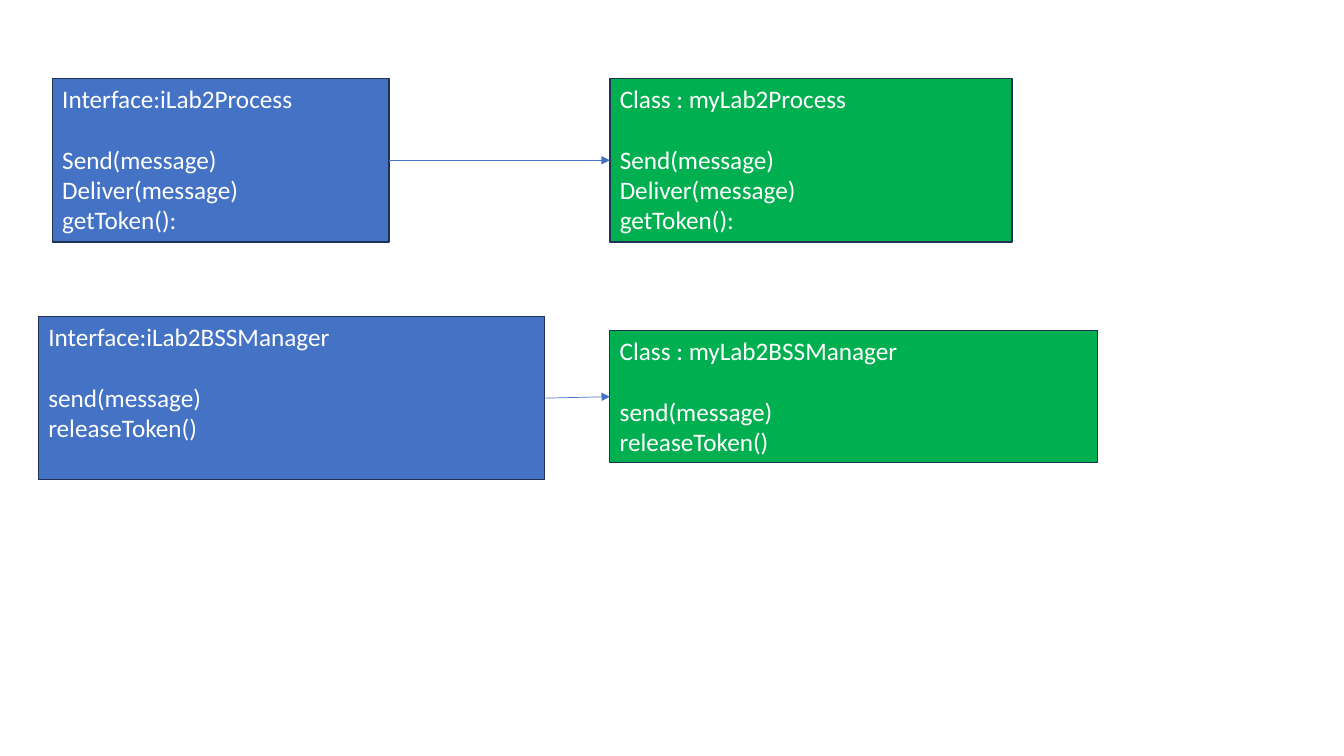
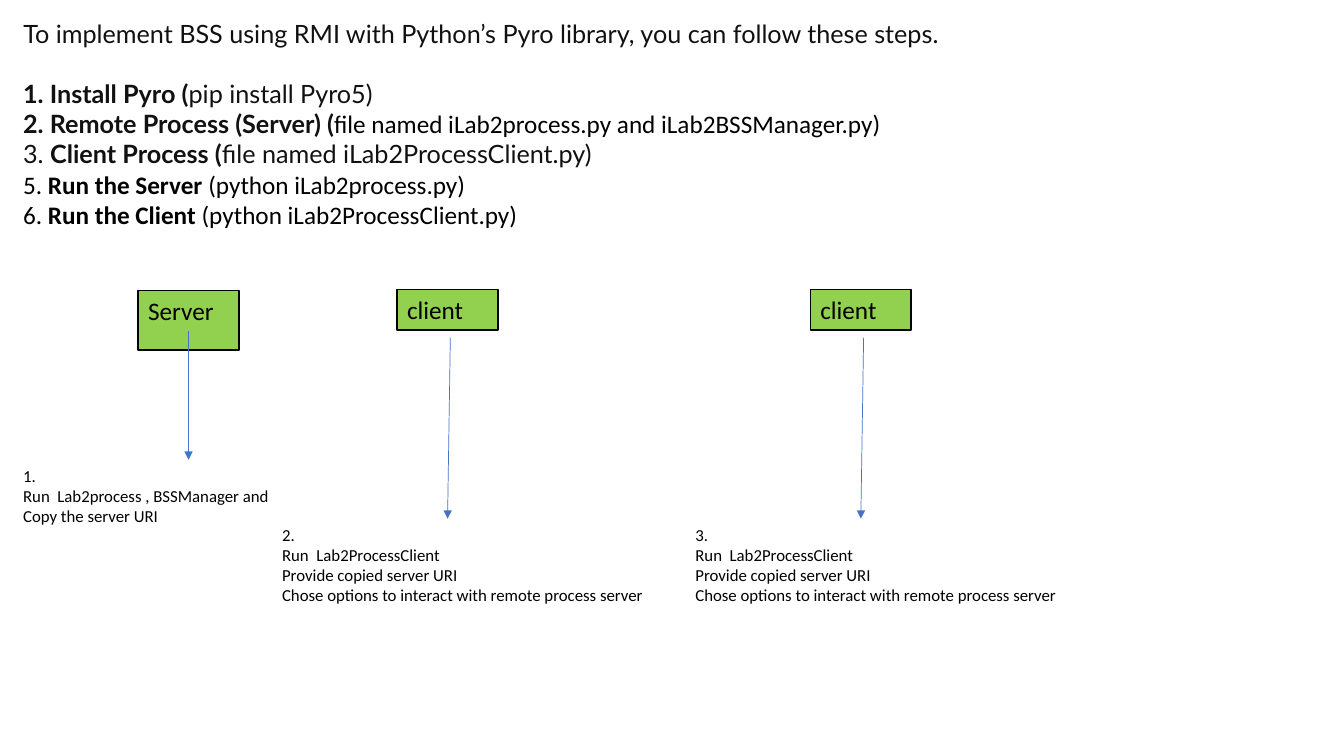
from lxml import etree
from pptx import Presentation
from pptx.dml.color import RGBColor
from pptx.enum.shapes import MSO_CONNECTOR, MSO_SHAPE
from pptx.enum.text import MSO_ANCHOR, MSO_AUTO_SIZE, PP_ALIGN
from pptx.oxml.ns import qn
from pptx.util import Pt

RECTANGLE = MSO_SHAPE.RECTANGLE
STRAIGHT = MSO_CONNECTOR.STRAIGHT
TOP = MSO_ANCHOR.TOP
LEFT = PP_ALIGN.LEFT
NO_AUTOFIT = MSO_AUTO_SIZE.NONE
RIGHT_SIDE, LEFT_SIDE = 3, 1
TITLE_ONLY, BLANK = 5, 6

COLORS = {
    "interface": "4472C4",
    "class": "00B050",
    "class_line": "1E3256",
    "arrow": "4472C4",
    "process": "92D050",
    "heading": "111111",
    "black": "000000",
    "white": "FFFFFF",
}
BODY_FONT, HEADING_FONT = "Calibri", "Lato"
TEXT_SIZE, NOTE_SIZE = 18, 12
BLANK_LINE = 21.6
MARGIN = 9.4

PROCESS_METHODS = ["Send(message)", "Deliver(message)", "getToken():"]
MANAGER_METHODS = ["send(message)", "releaseToken()"]
CLASS_PAIRS = [
    ("Process", PROCESS_METHODS, (37.4, 56.2, 240.5, 116.6), (435.6, 56.2, 287.3, 116.6)),
    ("BSSManager", MANAGER_METHODS, (27.4, 226.1, 361.4, 116.6), (435.6, 236.2, 348.5, 94.3)),
]

HEADING = "To implement BSS using RMI with Python’s Pyro library, you can follow these steps."
HEADING_STYLE = (HEADING_FONT, "heading")
BODY_STYLE = (BODY_FONT, "black")
STEPS = [
    ("", "1. Install Pyro (", "pip install Pyro5)", HEADING_STYLE, HEADING_STYLE),
    ("", "2. Remote Process (Server) (", "file named iLab2process.py and iLab2BSSManager.py)",
     HEADING_STYLE, BODY_STYLE),
    ("3. ", "Client Process (", "file named iLab2ProcessClient.py)", HEADING_STYLE, HEADING_STYLE),
    ("5. ", "Run the Server ", "(python iLab2process.py)", BODY_STYLE, BODY_STYLE),
    ("6. ", "Run the Client ", "(python iLab2ProcessClient.py)", BODY_STYLE, BODY_STYLE),
]
SERVER_NOTES = ["Run  Lab2process , BSSManager and", "Copy the server URI"]
CLIENT_NOTES = [
    "Run  Lab2ProcessClient",
    "Provide copied server URI",
    "Chose options to interact with remote process server",
]


def points(*lengths):
    return [Pt(length) for length in lengths]


def color(name):
    return RGBColor.from_string(COLORS[name])


def style_font(font, size, name, color_name, bold=False):
    font.size = Pt(size)
    font.name = name
    font.bold = bold
    font.color.rgb = color(color_name)


def prepare_frame(shape):
    frame = shape.text_frame
    frame.word_wrap = True
    frame.auto_size = NO_AUTOFIT
    frame.vertical_anchor = TOP
    return frame


def write_lines(shape, lines, size, color_name, font_name=BODY_FONT):
    frame = prepare_frame(shape)
    frame.text = "\n".join(lines)
    for paragraph in frame.paragraphs:
        paragraph.alignment = LEFT
        style_font(paragraph.font, size, font_name, color_name)
    return frame


def add_box(slide, box, fill, line, lines, text_color):
    shape = slide.shapes.add_shape(RECTANGLE, *points(*box))
    shape.shadow.inherit = False
    shape.fill.solid()
    shape.fill.fore_color.rgb = color(fill)
    shape.line.color.rgb = color(line)
    shape.line.width = Pt(1)
    write_lines(shape, lines, TEXT_SIZE, text_color)
    return shape


def add_arrow(slide, start_x, start_y, end_x, end_y):
    arrow = slide.shapes.add_connector(STRAIGHT, *points(start_x, start_y, end_x, end_y))
    arrow.line.color.rgb = color("arrow")
    arrow.line.width = Pt(0.5)
    etree.SubElement(arrow.line._get_or_add_ln(), qn("a:tailEnd"), type="triangle")
    etree.SubElement(arrow._element.spPr, qn("a:effectLst"))
    return arrow


def add_class_box(slide, box, fill, name, methods):
    shape = add_box(slide, box, fill, "class_line", [name, *methods], "white")
    shape.text_frame.paragraphs[0].space_after = Pt(BLANK_LINE)
    return shape


def add_class_pair(slide, name, methods, interface_box, class_box):
    interface = add_class_box(slide, interface_box, "interface", f"Interface:iLab2{name}", methods)
    implementation = add_class_box(slide, class_box, "class", f"Class : myLab2{name}", methods)
    arrow = add_arrow(slide, 0, 0, 0, 0)
    arrow.begin_connect(interface, RIGHT_SIDE)
    arrow.end_connect(implementation, LEFT_SIDE)


def place_title(slide, text, box):
    title = slide.shapes.title
    title.left, title.top, title.width, title.height = points(*box)
    write_lines(title, [text], TEXT_SIZE, "heading", HEADING_FONT)


def add_steps(slide, box):
    frame = prepare_frame(slide.shapes.add_textbox(*points(*box)))
    for index, (number, name, detail, name_style, detail_style) in enumerate(STEPS):
        paragraph = frame.add_paragraph() if index else frame.paragraphs[0]
        parts = [(number, name_style, False), (name, name_style, True), (detail, detail_style, False)]
        for text, style, bold in parts:
            if text:
                run = paragraph.add_run()
                run.text = text
                style_font(run.font, TEXT_SIZE, *style, bold)


def add_process(slide, box, label, label_height, arrow_top, arrow_bottom, arrow_lean, lines):
    left, top, width, height = box
    add_box(slide, (left + 89.3, top, 72, label_height), "process", "black", [label], "black")
    center = left + 125.3
    add_arrow(slide, center + arrow_lean, top + arrow_top, center, top + arrow_bottom)
    note_top = top + arrow_bottom + 0.7
    note = slide.shapes.add_textbox(*points(left, note_top, width, top + height - note_top))
    write_lines(note, lines, NOTE_SIZE, "black")


def build_class_slide(presentation):
    slide = presentation.slides.add_slide(presentation.slide_layouts[BLANK])
    for pair in CLASS_PAIRS:
        add_class_pair(slide, *pair)


def build_steps_slide(presentation):
    slide = presentation.slides.add_slide(presentation.slide_layouts[TITLE_ONLY])
    place_title(slide, HEADING, (MARGIN, MARGIN, 902, 29))
    add_steps(slide, (MARGIN, 52.4, 902, 117))
    add_process(slide, (MARGIN, 207.4, 221.8, 173.5), "Server", 42.5, 28.8, 121, 0,
                ["1.", *SERVER_NOTES])
    for number, left in ((2, 194.4), (3, 489.6)):
        add_process(slide, (left, 207, 277.2, 229.3), "client", 28.8, 34.2, 163.5, 2,
                    [f"{number}.", *CLIENT_NOTES])


def main():
    presentation = Presentation()
    presentation.slide_width, presentation.slide_height = points(960, 540)
    build_class_slide(presentation)
    build_steps_slide(presentation)
    presentation.save("out.pptx")


if __name__ == "__main__":
    main()
